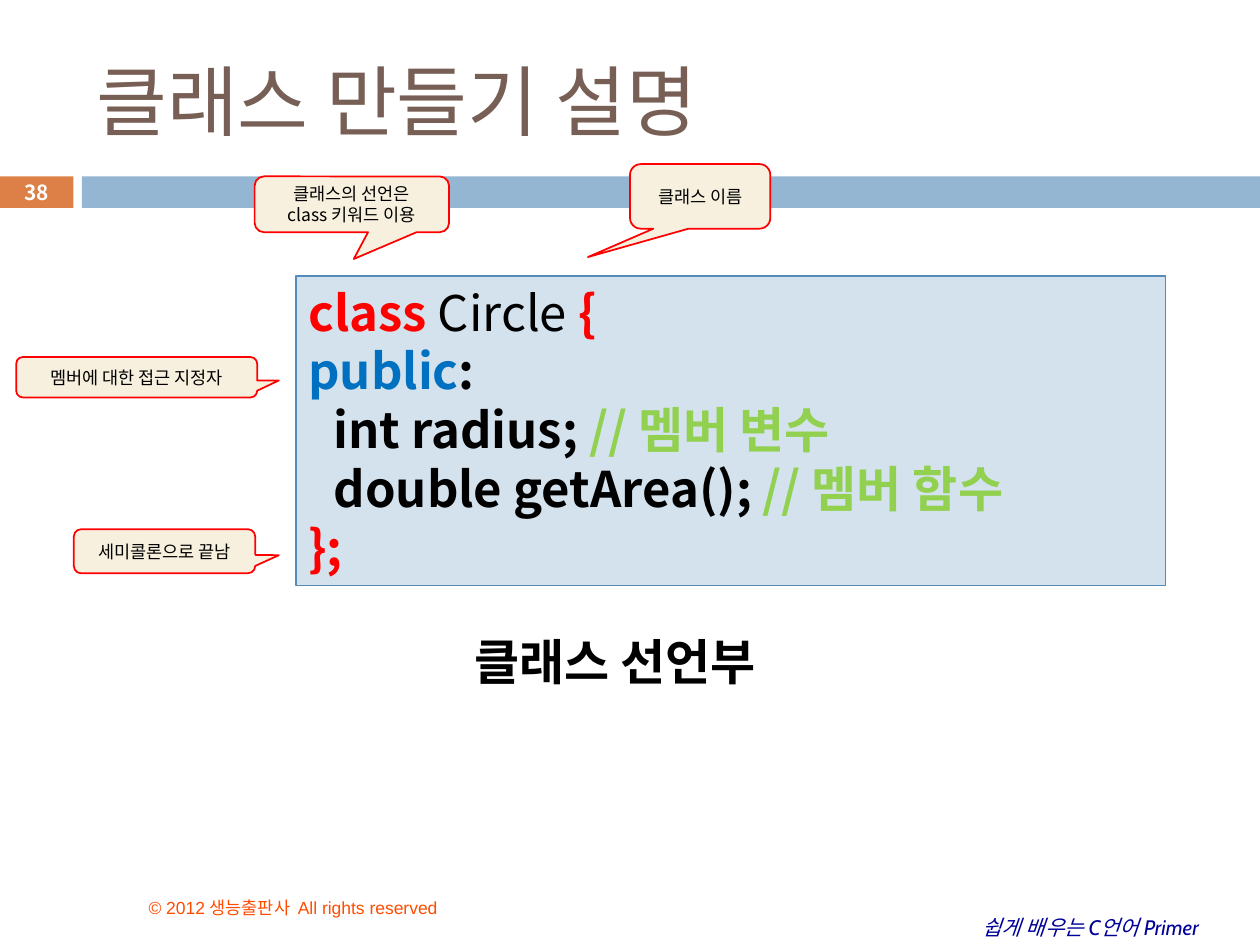
from lxml.etree import SubElement
from pptx import Presentation
from pptx.dml.color import RGBColor
from pptx.enum.shapes import MSO_SHAPE as Shape
from pptx.enum.text import MSO_ANCHOR as Anchor, PP_ALIGN as Align
from pptx.oxml.ns import qn
from pptx.util import Pt

ORANGE = RGBColor(0xDD, 0x80, 0x47)
BAND_BLUE = RGBColor(0x94, 0xB6, 0xD2)
NAVY = RGBColor(0x00, 0x00, 0x99)
COPYRIGHT_ORANGE = RGBColor(0xFF, 0x4C, 0x00)
BROWN = RGBColor(0x77, 0x5F, 0x55)
WHITE = RGBColor(0xFF, 0xFF, 0xFF)
BLACK = RGBColor(0x00, 0x00, 0x00)
RED = RGBColor(0xFF, 0x00, 0x00)
KEYWORD_BLUE = RGBColor(0x00, 0x70, 0xC0)
COMMENT_GREEN = RGBColor(0x92, 0xD0, 0x50)
CODE_FILL = RGBColor(0xD4, 0xE2, 0xED)
CODE_LINE = RGBColor(0x55, 0x8B, 0xB8)
CREAM = RGBColor(0xF7, 0xF0, 0xDE)
KOREAN = "Noto Sans CJK KR"

CODE = [
    [("class", RED, True), (" Circle ", BLACK, False), ("{", RED, True)],
    [("public", KEYWORD_BLUE, True), (":", BLACK, True)],
    [("\tint radius; ", BLACK, True), ("// 멤버 변수", COMMENT_GREEN, True)],
    [("\tdouble getArea(); ", BLACK, True), ("// 멤버 함수", COMMENT_GREEN, True)],
    [("};", RED, True)],
]
CALLOUTS = [
    ("세미콜론으로 끝남", (42.2, 302.4, 103.7, 25.2), (0.63, 0.09)),
    ("클래스의 선언은 class 키워드 이용", (145.5, 100.8, 111.1, 31.9), (0.01, 0.98)),
    ("클래스 이름", (360, 93.8, 80.2, 36.9), (-0.8, 0.94)),
    ("멤버에 대한 접근 지정자", (9.3, 204, 137.7, 23.1), (0.59, 0.08)),
]


def add_run(paragraph, text, size, color, bold=False, italic=False, font=KOREAN):
    """Add one styled run, using the same face for Latin and Korean."""
    run = paragraph.add_run()
    run.text = text
    run.font.size = Pt(size)
    run.font.name = font
    run.font.bold = bold
    run.font.italic = italic
    run.font.color.rgb = color
    SubElement(run.font._element, qn("a:ea")).set("typeface", KOREAN)


def add_label(slide, box, text, size, color, anchor=Anchor.TOP, align=Align.LEFT,
              wrap=True, **style):
    """Place a single-paragraph text box."""
    frame = slide.shapes.add_textbox(*map(Pt, box)).text_frame
    frame.word_wrap = wrap
    frame.vertical_anchor = anchor
    frame.paragraphs[0].alignment = align
    add_run(frame.paragraphs[0], text, size, color, **style)


def add_panel(slide, box, fill, line=None, width=1, kind=Shape.RECTANGLE):
    """Place a flat filled shape, outlined when a line colour is given."""
    panel = slide.shapes.add_shape(kind, *map(Pt, box))
    panel.shadow.inherit = False
    panel.fill.solid()
    panel.fill.fore_color.rgb = fill
    if line is None:
        panel.line.fill.background()
    else:
        panel.line.color.rgb = line
        panel.line.width = Pt(width)
    panel.text_frame.word_wrap = True
    return panel


def add_header(slide, box):
    """Place the title above a band that starts with the page number."""
    left, top, width, height = box
    band_top, band_height, number_width, gap = top + 100.8, 18, 42, 4.8
    band_left = left + number_width + gap
    number_box = (left, band_top, number_width, band_height)
    add_panel(slide, number_box, ORANGE)
    add_panel(slide, (band_left, band_top, width - band_left, band_height), BAND_BLUE)
    add_label(slide, (left + 48, top + 18, width - 78, 78), "클래스 만들기 설명",
              44, BROWN, Anchor.MIDDLE)
    add_label(slide, number_box, "38", 11.9, WHITE, Anchor.MIDDLE, Align.CENTER,
              bold=True)


def add_code(slide, box):
    """Place the class declaration with its members indented by a tab stop."""
    frame = add_panel(slide, box, CODE_FILL, CODE_LINE, 0.75).text_frame
    frame.vertical_anchor = Anchor.TOP
    for index, line in enumerate(CODE):
        paragraph = frame.add_paragraph() if index else frame.paragraphs[0]
        paragraph.alignment = Align.LEFT
        tabs = SubElement(paragraph._p.get_or_add_pPr(), qn("a:tabLst"))
        tab = SubElement(tabs, qn("a:tab"))
        tab.set("pos", str(Pt(14.4)))
        tab.set("algn", "l")
        for text, color, bold in line:
            add_run(paragraph, text, 28, color, bold)


def add_callout(slide, box, text, pointer):
    """Place a rounded callout whose pointer is relative to its centre."""
    callout = add_panel(slide, box, CREAM, RED, kind=Shape.ROUNDED_RECTANGULAR_CALLOUT)
    callout.adjustments[0], callout.adjustments[1] = pointer
    frame = callout.text_frame
    frame.margin_left = frame.margin_right = Pt(10)
    frame.vertical_anchor = Anchor.MIDDLE
    frame.paragraphs[0].alignment = Align.CENTER
    add_run(frame.paragraphs[0], text, 10, BLACK)


def add_footer(slide, box):
    """Place the copyright line and the book title."""
    left, top, width, height = box
    add_label(slide, (left + 77.8, top, 275.8, 30.2),
              "© 2012 생능출판사  All rights reserved", 10, COPYRIGHT_ORANGE,
              Anchor.BOTTOM, font="Arial")
    add_label(slide, (left + width - 165.6, top + 20.9, 157, 21.6),
              "쉽게 배우는 C언어 Primer", 12, NAVY, wrap=False, italic=True, font="Cabin")


def main():
    """Build and save the slide."""
    deck = Presentation()
    deck.slide_width, deck.slide_height = Pt(720), Pt(540)
    slide = deck.slides.add_slide(deck.slide_layouts[6])
    add_header(slide, (0, 0, 720, 120))
    add_footer(slide, (0, 498.2, 720, 42))
    add_code(slide, (169.2, 157.7, 496.8, 177))
    add_label(slide, (264.2, 357.1, 271.4, 41), "클래스 선언부", 28, BLACK, bold=True)
    for text, box, pointer in CALLOUTS:
        add_callout(slide, box, text, pointer)
    deck.save("out.pptx")


if __name__ == "__main__":
    main()
